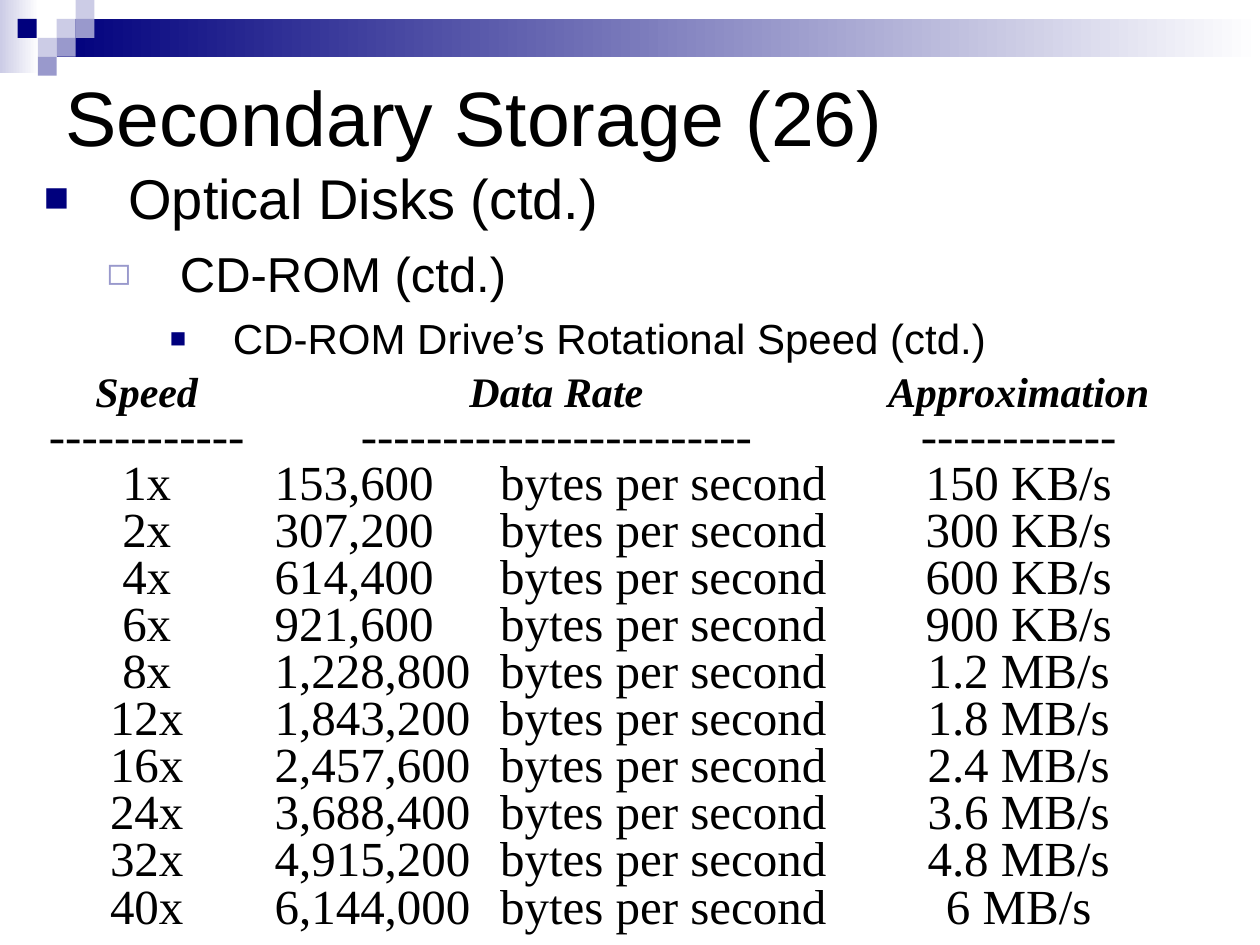
from lxml.etree import SubElement
from pptx import Presentation
from pptx.dml.color import RGBColor
from pptx.enum.shapes import MSO_SHAPE
from pptx.enum.text import MSO_ANCHOR, PP_ALIGN
from pptx.oxml.ns import qn
from pptx.util import Inches, Pt

BLACK = RGBColor(0, 0, 0)
WHITE = RGBColor(0xFF, 0xFF, 0xFF)
NAVY = RGBColor(0, 0, 0x7D)
LILAC = RGBColor(0x99, 0x99, 0xCC)
PALE = RGBColor(0xCC, 0xCC, 0xE6)

SIDE = 0.15  # edge of one header square
SQUARES = [  # left, top, colour
    (0.45, 0.15, PALE), (0.6, 0, PALE), (0.6, 0.15, LILAC),
    (0.3, 0.3, PALE), (0.14, 0.15, NAVY), (0.45, 0.3, LILAC),
    (0.3, 0.45, LILAC),
]
BULLETS = [  # text, size, indent, hanging, space before, mark, colour, percent
    ("Optical Disks (ctd.)", 32, 0.67, 0.67, 8, "■", NAVY, 75),
    ("CD-ROM (ctd.)", 28, 1.08, 0.58, 7, "◻", LILAC, 80),
    ("CD-ROM Drive’s Rotational Speed (ctd.)", 24, 1.5, 0.5, 6, "■", NAVY, 65),
]
ROWS = [  # speed, bytes per second, approximation
    ("1x", 153600, "150 KB/s"),
    ("2x", 307200, "300 KB/s"),
    ("4x", 614400, "600 KB/s"),
    ("6x", 921600, "900 KB/s"),
    ("8x", 1228800, "1.2 MB/s"),
    ("12x", 1843200, "1.8 MB/s"),
    ("16x", 2457600, "2.4 MB/s"),
    ("24x", 3688400, "3.6 MB/s"),
    ("32x", 4915200, "4.8 MB/s"),
    ("40x", 6144000, "6 MB/s"),
]


def add_rect(slide, left, top, width, height):
    rect = slide.shapes.add_shape(
        MSO_SHAPE.RECTANGLE,
        Inches(left), Inches(top), Inches(width), Inches(height))
    rect.shadow.inherit = False
    rect.line.fill.background()
    return rect


def add_fade(slide, left, top, width, height, color):
    fill = add_rect(slide, left, top, width, height).fill
    fill.gradient()
    fill.gradient_angle = 0
    for stop, place, tint in zip(fill.gradient_stops, (0, 1), (color, WHITE)):
        stop.position = place
        stop.color.rgb = tint


def add_square(slide, left, top, color):
    fill = add_rect(slide, left, top, SIDE, SIDE).fill
    fill.solid()
    fill.fore_color.rgb = color


def add_box(slide, left, top, width, height):
    box = slide.shapes.add_textbox(
        Inches(left), Inches(top), Inches(width), Inches(height))
    box.text_frame.word_wrap = True
    return box


def set_font(para, name, size, strong=False):
    font = para.font
    font.name, font.size = name, Pt(size)
    font.bold = font.italic = strong
    font.color.rgb = BLACK


def set_bullet(para, indent, hang, mark, color, percent):
    props = para._p.get_or_add_pPr()
    props.set("marL", str(Inches(indent)))
    props.set("indent", str(-Inches(hang)))
    tint = SubElement(props, qn("a:buClr"))
    SubElement(tint, qn("a:srgbClr"), val=str(color))
    SubElement(props, qn("a:buSzPct"), val=str(percent * 1000))
    SubElement(props, qn("a:buFont"), typeface="Arial")
    SubElement(props, qn("a:buChar"), char=mark)


def set_tab(para, place):
    props = para._p.get_or_add_pPr()
    tabs = props.makeelement(qn("a:tabLst"))
    SubElement(tabs, qn("a:tab"), pos=str(Inches(place)), algn="l")
    props.find(qn("a:spcBef" if props.find(qn("a:spcBef")) is not None
                  else "a:lnSpc")).addnext(tabs)


def add_title(slide, text):
    frame = add_box(slide, 0.42, 0.5, 8.42, 0.83).text_frame
    frame.vertical_anchor = MSO_ANCHOR.MIDDLE
    frame.text = text
    set_font(frame.paragraphs[0], "Arial", 44)


def add_body(slide):
    frame = add_box(slide, 0.25, 1.25, 9.25, 6.08).text_frame
    frame.text = "\n".join(item[0] for item in BULLETS)
    for level, (para, item) in enumerate(zip(frame.paragraphs, BULLETS)):
        _, size, indent, hang, space, mark, color, percent = item
        para.level = level
        para.space_before = Pt(space)
        set_font(para, "Arial", size)
        set_bullet(para, indent, hang, mark, color, percent)


def add_column(slide, left, width, head, dashes, cells, framed=True, tab=None):
    make = add_rect if framed else add_box
    box = make(slide, left, 2.93, width, 4.53)
    if framed:
        box.fill.background()
        box.line.color.rgb = WHITE
        box.line.width = Pt(3)
    frame = box.text_frame
    frame.word_wrap = True
    frame.vertical_anchor = MSO_ANCHOR.TOP
    frame.margin_left = Inches(0.18 if tab else 0.1)
    frame.margin_right = Inches(0.1)
    frame.text = "\n".join([head, "-" * dashes, *cells])
    for row, para in enumerate(frame.paragraphs):
        para.alignment = PP_ALIGN.CENTER
        para.line_spacing = 0.8
        set_font(para, "Times New Roman", 28 if row else 24, row == 0)
        if tab and row > 1:
            para.alignment = PP_ALIGN.LEFT
            set_tab(para, tab)


def main():
    deck = Presentation()
    deck.slide_width, deck.slide_height = Inches(10), Inches(7.5)
    slide = deck.slides.add_slide(deck.slide_layouts[6])

    # Header band
    add_fade(slide, 0, 0, 0.31, 0.58, PALE)
    add_fade(slide, 0.45, 0.15, 9.55, 0.3, NAVY)
    for square in SQUARES:
        add_square(slide, *square)

    # Title and bullets
    add_title(slide, "Secondary Storage (26)")
    add_body(slide)

    # Speed columns
    speeds, rates, sizes = zip(*ROWS)
    rates = [f"{rate:,}\tbytes per second" for rate in rates]
    add_column(slide, 0.25, 1.83, "Speed", 12, speeds, framed=False)
    add_column(slide, 2, 4.75, "Data Rate", 24, rates, tab=1.79)
    add_column(slide, 6.67, 2.83, "Approximation", 12, sizes)

    deck.save("out.pptx")


if __name__ == "__main__":
    main()
